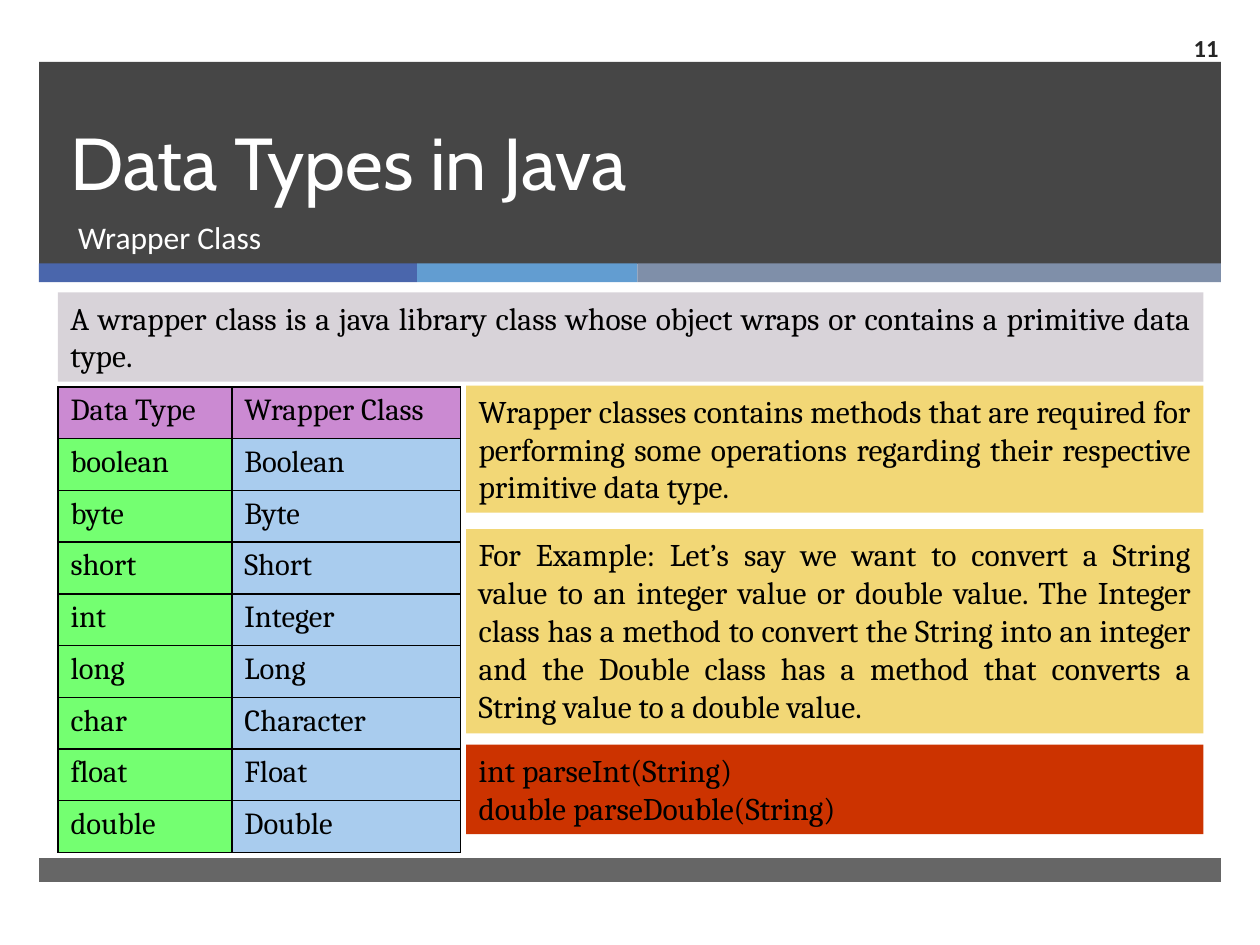
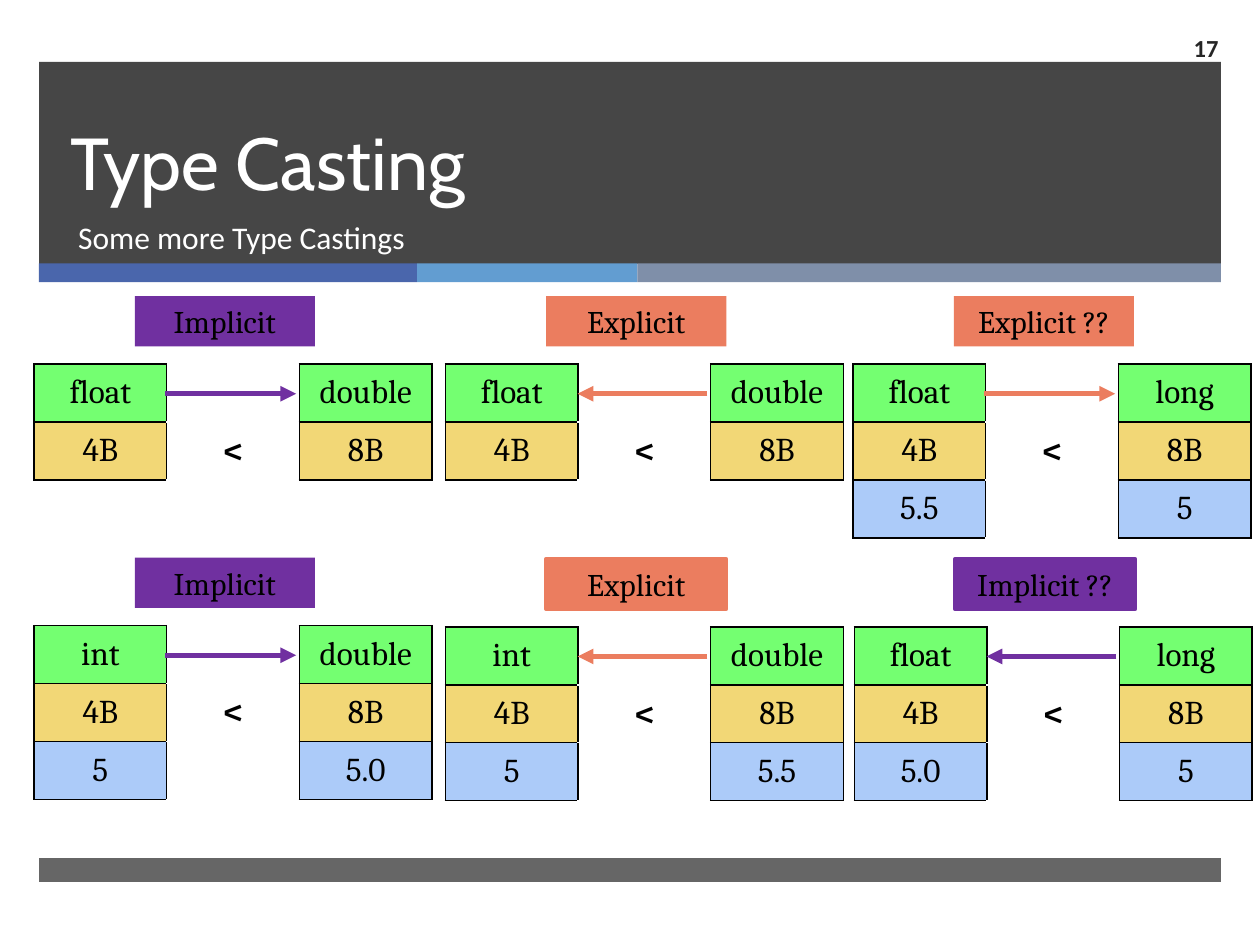
from dataclasses import dataclass
from lxml.etree import SubElement
from pptx import Presentation
from pptx.dml.color import RGBColor
from pptx.enum.shapes import MSO_CONNECTOR, MSO_SHAPE
from pptx.enum.text import MSO_ANCHOR, MSO_AUTO_SIZE, PP_ALIGN
from pptx.oxml.ns import qn
from pptx.util import Inches, Pt


@dataclass(frozen=True)
class Theme:
    ink: str = "000000"
    dark: str = "262626"
    white: str = "FFFFFF"
    blue: str = "4A66AC"
    sky: str = "629DD1"
    slate: str = "7F8FA9"
    gray: str = "D8D3D9"
    gold: str = "F2D776"
    red: str = "CC3300"
    pink: str = "CB8AD2"
    green: str = "74FF71"
    pale: str = "A9CCEE"
    ice: str = "ACCBF9"
    plum: str = "7030A0"
    coral: str = "EB7D5F"
    head: float = 42
    body: float = 18
    small: float = 17.5
    cell: float = 19
    sign: float = 20
    page: float = 14


T = Theme()
LEFT, MID, RIGHT, FULL = PP_ALIGN.LEFT, PP_ALIGN.CENTER, PP_ALIGN.RIGHT, PP_ALIGN.JUSTIFY

deck = Presentation()
deck.slide_width, deck.slide_height = Inches(10), Inches(7.5)
UNIT = deck.slide_width // 100  # square grid: 100 columns by 75 rows


def grid(*sizes):
    return [round(size * UNIT) for size in sizes]


def write(frame, text, size, face="Cambria", color=T.ink, align=LEFT, bold=False):
    frame.text = text
    for para in frame.paragraphs:
        para.alignment = align
        para.space_before = Pt(0)
        for run in para.runs:
            run.font.name, run.font.size, run.font.bold = face, Pt(size), bold
            run.font.color.rgb = RGBColor.from_string(color)


# Title, subtitle and page number of each slide
layout = deck.slide_layouts[0]
slides = []
for head, sub, page in [("Data Types in Java", "Wrapper Class", "11"),
                        ("Type Casting", "Some more Type Castings", "17")]:
    slide = deck.slides.add_slide(layout)
    slides.append(slide)
    title, below = slide.placeholders
    number = slide.shapes.add_textbox(0, 0, 0, 0)
    for shape, place, anchor in [(title, (4.6, 4.9, 85.4, 11.9), MSO_ANCHOR.BOTTOM),
                                 (below, (5.2, 16.8, 84.8, 5.3), MSO_ANCHOR.TOP),
                                 (number, (90.8, 1.8, 6.9, 3.9), MSO_ANCHOR.MIDDLE)]:
        shape.left, shape.top, shape.width, shape.height = grid(*place)
        frame = shape.text_frame
        frame.word_wrap, frame.auto_size = True, MSO_AUTO_SIZE.NONE
        frame.vertical_anchor = anchor
    write(title.text_frame, head, T.head, "Cabin", T.white)
    title.text_frame.paragraphs[0].line_spacing = Pt(46)
    write(below.text_frame, sub, T.body, "Calibri", T.white)
    write(number.text_frame, page, T.page, "Calibri", T.dark, RIGHT, True)

# Bands shared by all slides, kept on the layout
bands = [((3.1, 4.9, 93.8, 16.05), T.dark, 85), ((3.1, 20.9, 30, 1.5), T.blue, 100),
         ((33.1, 20.9, 17.5, 1.5), T.sky, 100), ((50.6, 20.9, 46.3, 1.5), T.slate, 100),
         ((3.1, 68.1, 93.8, 1.9), T.dark, 70)]
for i, (place, color, share) in enumerate(bands):
    band = slides[0].shapes.add_shape(MSO_SHAPE.RECTANGLE, *grid(*place))
    band.shadow.inherit = False
    band.line.fill.background()
    band.fill.solid()
    band.fill.fore_color.rgb = RGBColor.from_string(color)
    if share < 100:
        tone = next(band.element.iter(qn("a:srgbClr")))
        SubElement(tone, qn("a:alpha"), val=str(share * 1000))
    band.element.nvSpPr.cNvPr.set("id", str(20 + i))
    layout.shapes.element.insert(2 + i, band.element)

# Wrapper classes: text boxes and table
first, second = slides
boxes = [
    (first, (4.6, 23.2, 90.9, 7.1), T.gray, FULL, False,
     "A wrapper class is a java library class whose object wraps or contains "
     "a primitive data type."),
    (first, (37, 30.6, 58.5, 10.1), T.gold, FULL, False,
     "Wrapper classes contains methods that are required for performing some "
     "operations regarding their respective primitive data type."),
    (first, (37, 42, 58.5, 16.2), T.gold, FULL, False,
     "For Example: Let’s say we want to convert a String value to an integer value "
     "or double value. The Integer class has a method to convert the String into an "
     "integer and the Double class has a method that converts a String value to a "
     "double value."),
    (first, (37, 59.1, 58.5, 7.1), T.red, LEFT, False,
     "int parseInt(String)\ndouble parseDouble(String)"),
]
pairs = [("Data Type", "Wrapper Class"), ("boolean", "Boolean"), ("byte", "Byte"),
         ("short", "Short"), ("int", "Integer"), ("long", "Long"),
         ("char", "Character"), ("float", "Float"), ("double", "Double")]
fills = [(T.pink, T.pink)] + [(T.green, T.pale)] * 8
tables = [(first, (4.6, 30.7), (13.8, 18.15), 4.11, pairs, fills, T.small, LEFT,
           MSO_ANCHOR.TOP)]

# Type castings: label, source and target type, values, arrow direction
casts = [
    (2.7, 28.9, "Implicit", T.plum, "float", "double", None, True),
    (35.35, 28.9, "Explicit", T.coral, "float", "double", None, False),
    (67.7, 28.9, "Explicit ??", T.coral, "float", "long", ("5.5", "5"), True),
    (2.7, 49.65, "Implicit", T.plum, "int", "double", ("5", "5.0"), True),
    (35.35, 49.75, "Explicit", T.coral, "int", "double", ("5", "5.5"), False),
    (67.8, 49.75, "Implicit ??", T.plum, "float", "long", ("5.0", "5"), False),
]
arrows = []
for x, y, label, color, small, large, values, ahead in casts:
    rows = [(small, "", large), ("4B", "<", "8B")]
    if values:
        rows.append((values[0], "", values[1]))
    tones = [(tone, None, tone) for tone in (T.green, T.gold, T.ice)]
    tables.append((second, (x, y), (10.53,) * 3, 4.6, rows, tones, T.cell, MID,
                   MSO_ANCHOR.MIDDLE))
    rim = y > 40 and x > 30
    boxes.append((second, (x + 8, y - 5.4, 14.3, 4), color, MID, rim, label))
    ends = (x + 10.4, x + 20.8) if ahead else (x + 20.8, x + 10.5)
    arrows.append((ends, y + 2.35, color))

# Draw the tables
for slide, spot, wide, high, rows, tones, size, align, anchor in tables:
    area = grid(*spot, sum(wide), high * len(rows))
    table = slide.shapes.add_table(len(rows), len(wide), *area).table
    table.first_row = table.horz_banding = False
    for column, width in zip(table.columns, grid(*wide)):
        column.width = width
    for r, texts in enumerate(rows):
        table.rows[r].height = grid(high)[0]
        for c, text in enumerate(texts):
            cell, tone = table.cell(r, c), tones[r][c]
            cell.vertical_anchor = anchor
            sign = text == "<"
            write(cell.text_frame, text, T.sign if sign else size, align=align, bold=sign)
            props = cell._tc.get_or_add_tcPr()
            for side in "LRTB" if tone else "LR":
                edge = SubElement(props, qn("a:ln" + side), w=str(Pt(1)))
                SubElement(SubElement(edge, qn("a:solidFill")), qn("a:srgbClr"), val=T.ink)
            if tone:
                cell.fill.solid()
                cell.fill.fore_color.rgb = RGBColor.from_string(tone)
            else:
                cell.fill.background()

# Draw the arrows
for (start, end), y, color in arrows:
    arrow = second.shapes.add_connector(MSO_CONNECTOR.STRAIGHT, *grid(start, y, end, y))
    arrow.line.width = Pt(3)
    arrow.line.color.rgb = RGBColor.from_string(color)
    SubElement(arrow.line._get_or_add_ln(), qn("a:tailEnd"), type="triangle")
    SubElement(arrow.element.spPr, qn("a:effectLst"))

# Draw the boxes
for slide, place, color, align, rim, text in boxes:
    box = slide.shapes.add_shape(MSO_SHAPE.RECTANGLE, *grid(*place))
    box.shadow.inherit = False
    box.fill.solid()
    box.fill.fore_color.rgb = RGBColor.from_string(color)
    if rim:
        box.line.width = Pt(2.25)
        box.line.color.rgb = RGBColor.from_string(color)
    else:
        box.line.fill.background()
    box.text_frame.word_wrap = True
    box.text_frame.vertical_anchor = MSO_ANCHOR.TOP
    write(box.text_frame, text, T.body, align=align)

deck.save("out.pptx")
